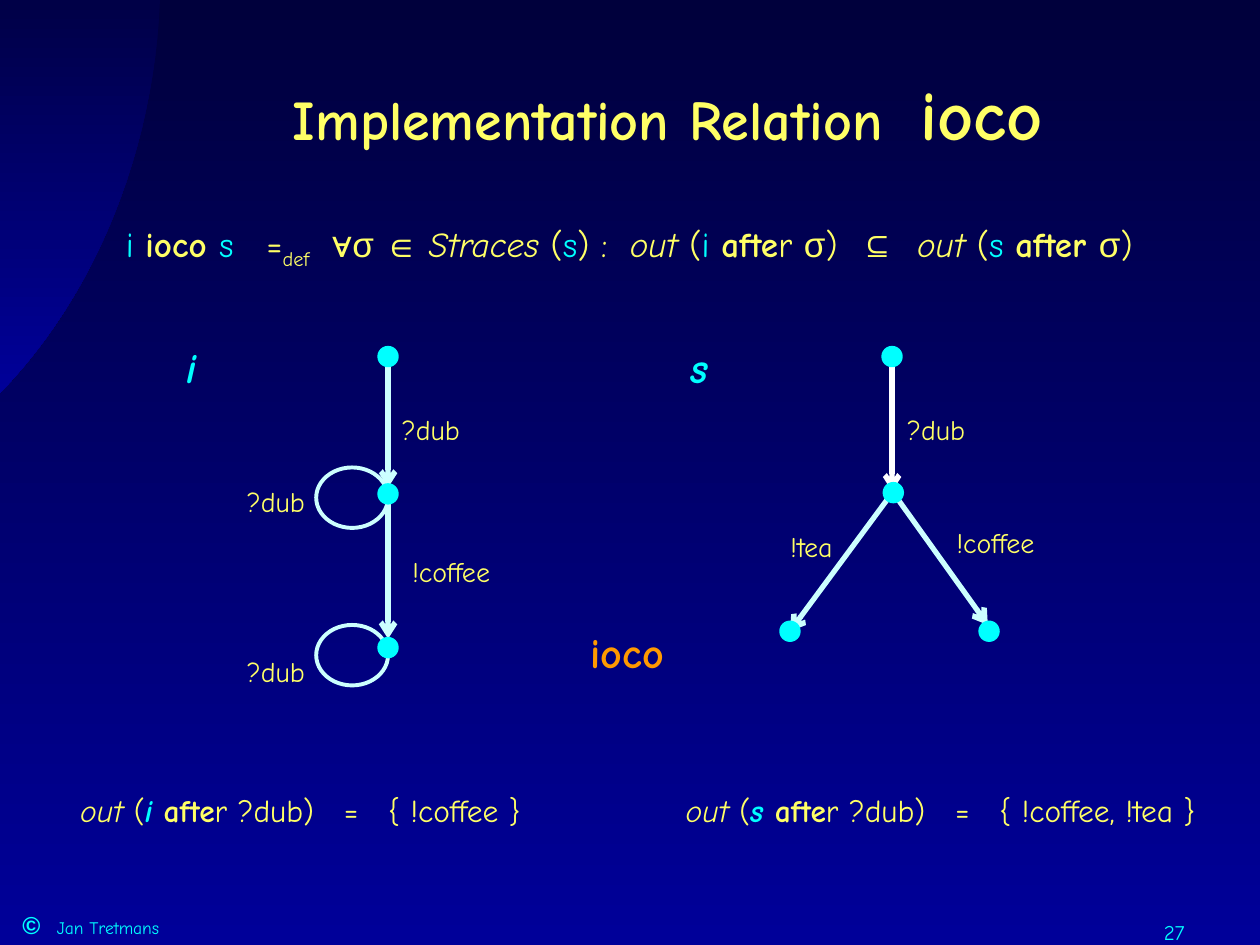
from lxml import etree
from pptx import Presentation
from pptx.dml.color import RGBColor
from pptx.enum.shapes import MSO_CONNECTOR, MSO_SHAPE
from pptx.enum.text import MSO_ANCHOR, PP_ALIGN
from pptx.oxml.ns import qn
from pptx.util import Inches, Pt

LEFT, CENTER, RIGHT = PP_ALIGN.LEFT, PP_ALIGN.CENTER, PP_ALIGN.RIGHT
TOP, MIDDLE = MSO_ANCHOR.TOP, MSO_ANCHOR.MIDDLE
STRAIGHT = MSO_CONNECTOR.STRAIGHT
OVAL, NODE = MSO_SHAPE.OVAL, MSO_SHAPE.FLOWCHART_CONNECTOR

YELLOW, CYAN, PALE, WHITE, ORANGE = "FFFF66", "00FFFF", "CCFFFF", "FFFFFF", "FF9900"
ITALIC, BOLD, SYMBOL, STATE = {"italic": True}, {"bold": True}, {"name": "Arial"}, {"color": CYAN}


def rgb(value):
    return RGBColor.from_string(value)


def gap(points):
    return " ", {"spc": points * 100}


class SlideBuilder:
    font_name = "Comic Neue"
    node_size = 0.17

    def __init__(self, slide):
        self.slide = slide

    def gradient(self, fill, start, end):
        fill.gradient()
        for stop, color in zip(fill.gradient_stops, (start, end)):
            stop.color.rgb = rgb(color)
        fill.gradient_angle = 270

    def add_run(self, paragraph, text, style):
        run = paragraph.add_run()
        run.text = text
        font = run.font
        if "color" in style:
            font.color.rgb = rgb(style["color"])
        if "size" in style:
            font.size = Pt(style["size"])
        if "name" in style:
            font.name = style["name"]
        if "bold" in style:
            font.bold = style["bold"]
        if "italic" in style:
            font.italic = style["italic"]
        for attribute in ("spc", "baseline"):
            if attribute in style:
                run._r.get_or_add_rPr().set(attribute, str(style[attribute]))

    def fill_frame(self, frame, parts, size, color=YELLOW, align=CENTER, anchor=MIDDLE,
                   spacing=1.0, bold=False, italic=False):
        frame.vertical_anchor = anchor
        paragraph = frame.paragraphs[0]
        paragraph.alignment = align
        paragraph.line_spacing = spacing
        paragraph.space_before = Pt(0)
        font = paragraph.font
        font.name, font.size, font.bold, font.italic = self.font_name, Pt(size), bold, italic
        font.color.rgb = rgb(color)
        for text, style in parts:
            self.add_run(paragraph, text, style)

    def title(self, parts, box, size):
        title = self.slide.shapes.title
        title.left, title.top, title.width, title.height = map(Inches, box)
        self.fill_frame(title.text_frame, parts, size, bold=True)

    def text(self, parts, box, size, wrap=True, **style):
        frame = self.slide.shapes.add_textbox(*map(Inches, box)).text_frame
        frame.word_wrap = wrap
        self.fill_frame(frame, parts, size, **style)

    def label(self, text, x, y, size=16, **style):
        self.text([(text, {})], (x - 0.5, y - 0.21, 1, 0.42), size,
                  wrap=False, spacing=1.2, **style)

    def node(self, x, y):
        size = self.node_size
        dot = self.slide.shapes.add_shape(
            NODE, *map(Inches, (x - size / 2, y - size / 2, size, size)))
        dot.shadow.inherit = False
        dot.fill.solid()
        dot.fill.fore_color.rgb = rgb(CYAN)
        dot.line.fill.background()

    def loop(self, x, y):
        ring = self.slide.shapes.add_shape(OVAL, *map(Inches, (x, y, 0.57, 0.48)))
        ring.shadow.inherit = False
        ring.fill.background()
        ring.line.color.rgb = rgb(PALE)
        ring.line.width = Pt(2.25)

    def arrow(self, start, end, color=PALE):
        edge = self.slide.shapes.add_connector(STRAIGHT, *map(Inches, start + end))
        edge.line.color.rgb = rgb(color)
        edge.line.width = Pt(3)
        etree.SubElement(edge.line._get_or_add_ln(), qn("a:tailEnd"), type="arrow")
        etree.SubElement(edge._element.spPr, qn("a:effectLst"))

    def corner_arc(self, start, control_a, control_b, end, steps=24):
        curve = []
        for step in range(steps + 1):
            t = step / steps
            weights = ((1 - t) ** 3, 3 * t * (1 - t) ** 2, 3 * t * t * (1 - t), t ** 3)
            points = (start, control_a, control_b, end)
            curve.append(tuple(Inches(sum(w * p[axis] for w, p in zip(weights, points)))
                               for axis in (0, 1)))
        outline = self.slide.shapes.build_freeform(0, 0)
        outline.add_line_segments(curve, close=True)
        arc = outline.convert_to_shape()
        arc.shadow.inherit = False
        self.gradient(arc.fill, "000047", "000099")
        arc.line.fill.background()


def main():
    deck = Presentation()
    deck.slide_width, deck.slide_height = Inches(10), Inches(7.5)
    builder = SlideBuilder(deck.slides.add_slide(deck.slide_layouts[5]))
    builder.gradient(builder.slide.background.fill, "00003C", "000099")
    builder.corner_arc((0, 3.12), (0.76, 2.34), (1.22, 1.2), (1.27, 0))

    builder.title([("Implementation Relation", {}), gap(10), ("ioco", {"size": 40})],
                  (1.05, 0.27, 8.5, 1.25), 32)
    builder.text([
        ("i ", STATE), ("ioco ", BOLD), ("s", STATE), gap(12), ("=", {}),
        ("def", {"baseline": -25000}), gap(6), ("∀σ ∈ ", SYMBOL), ("Straces ", ITALIC),
        ("(", {}), ("s", STATE), (") :", {}), gap(6), ("out ", ITALIC), ("(", {}),
        ("i ", STATE), ("afte", BOLD), ("r ", {}), ("σ", SYMBOL), (")", {}), gap(6),
        ("⊆", SYMBOL), gap(6), ("out ", ITALIC), ("(", {}), ("s ", STATE),
        ("after ", BOLD), ("σ", SYMBOL), (")", {}),
    ], (0.9, 1.72, 8.8, 0.48), 20, align=LEFT, anchor=TOP)

    for ring_y in (3.71, 4.96):
        builder.loop(2.51, ring_y)
    for start_y, end_y in ((2.81, 3.87), (4, 5.07)):
        builder.arrow((3.08, start_y), (3.08, end_y))
    builder.arrow((7.08, 2.83), (7.08, 3.9), WHITE)
    builder.arrow((7.06, 3.87), (7.84, 4.96))
    builder.arrow((7.06, 3.94), (6.27, 5.01))

    for x, y in ((3.08, 2.83), (3.08, 3.92), (3.08, 5.14),
                 (7.08, 2.83), (7.09, 3.91), (6.27, 5.01), (7.85, 5.01)):
        builder.node(x, y)

    for action, x, y in (("?dub", 3.42, 3.38), ("?dub", 2.19, 3.95), ("?dub", 2.19, 5.3),
                         ("!coffee", 3.58, 4.51), ("?dub", 7.43, 3.38),
                         ("!tea", 6.44, 4.31), ("!coffee", 7.9, 4.28)):
        builder.label(action, x, y)
    for system, x in (("i", 1.52), ("s", 5.55)):
        builder.label(system, x, 2.87, 24, color=CYAN, bold=True, italic=True)
    builder.label("ioco", 4.98, 5.13, 24, color=ORANGE, bold=True)

    for system, outputs, left, width in (("i", "{ !coffee }", 0.52, 3.73),
                                         ("s", "{ !coffee, !tea }", 5.32, 4.29)):
        builder.text([
            ("out", ITALIC), (" (", {}), (system + " ", {**STATE, **BOLD, **ITALIC}),
            ("afte", BOLD), ("r ?dub)", {}), gap(11), ("=", {}), gap(11), (outputs, {}),
        ], (left, 6.17, width, 0.46), 18, wrap=False, spacing=1.2)

    builder.text([("©", {**SYMBOL, **BOLD, "size": 14}), gap(6), ("Jan Tretmans", {})],
                 (0.08, 7.17, 4.91, 0.33), 10, color=CYAN, align=LEFT, anchor=TOP)
    builder.text([("27", {})], (8.58, 7.25, 0.92, 0.25), 12,
                 color=CYAN, align=RIGHT, anchor=TOP)
    deck.save("out.pptx")


if __name__ == "__main__":
    main()
